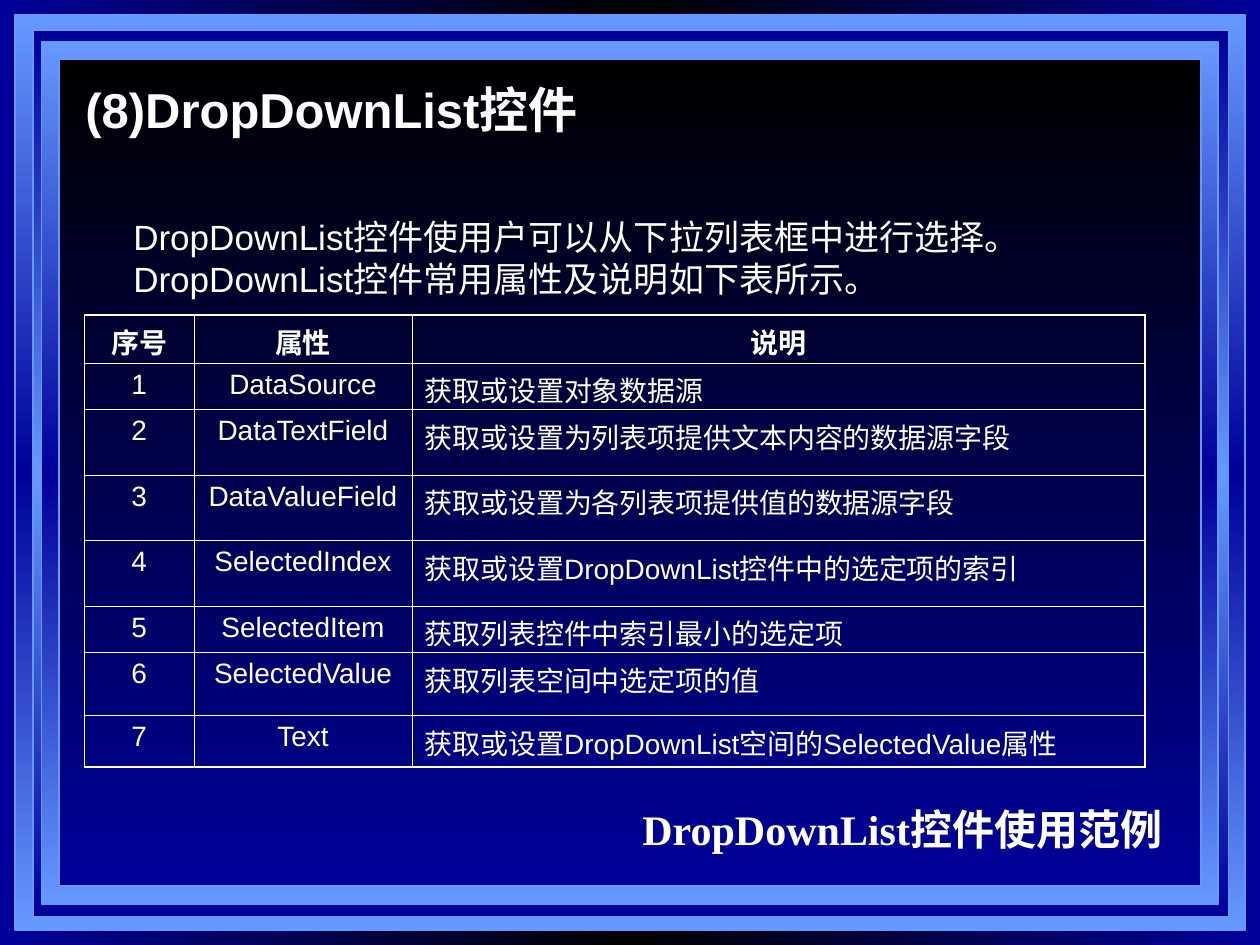
from typing import NamedTuple

from lxml.etree import SubElement
from pptx import Presentation
from pptx.dml.color import RGBColor
from pptx.enum.shapes import MSO_SHAPE
from pptx.enum.text import MSO_AUTO_SIZE, PP_ALIGN
from pptx.oxml.ns import qn
from pptx.util import Inches, Pt

COLORS = {"navy": "000099", "black": "000000", "sky": "6699FF", "white": "FFFFFF"}


class Frame(NamedTuple):
    left: float
    top: float
    width: float
    height: float
    gradient: tuple[str, ...]


class Property(NamedTuple):
    name: str
    description: str
    row_height: float


FRAMES = [
    Frame(0.12, 0.12, 9.76, 7.26, ("sky", "navy", "sky")),
    Frame(0.26, 0.24, 9.49, 7.04, ("navy", "sky", "navy")),
    Frame(0.33, 0.33, 9.34, 6.85, ("sky", "navy", "sky")),
    Frame(0.47, 0.47, 9.06, 6.56, ("black", "navy")),
]
PROPERTIES = [
    Property("DataSource", "获取或设置对象数据源", 0.37),
    Property("DataTextField", "获取或设置为列表项提供文本内容的数据源字段", 0.52),
    Property("DataValueField", "获取或设置为各列表项提供值的数据源字段", 0.52),
    Property("SelectedIndex", "获取或设置DropDownList控件中的选定项的索引", 0.52),
    Property("SelectedItem", "获取列表控件中索引最小的选定项", 0.37),
    Property("SelectedValue", "获取列表空间中选定项的值", 0.5),
    Property("Text", "获取或设置DropDownList空间的SelectedValue属性", 0.41),
]
HEADERS = ("序号", "属性", "说明")
HEADER_HEIGHT = 0.38
COLUMN_WIDTHS = (0.87, 1.73, 5.82)
OUTER_LINE, INNER_LINE = Pt(1.08), Pt(0.45)


def rgb(name: str) -> RGBColor:
    return RGBColor.from_string(COLORS[name])


def set_gradient(fill, owner, names: tuple[str, ...], angle: int) -> None:
    """Give a fill evenly spaced stops; owner is the XML element that holds it."""
    fill.gradient()
    fill.gradient_angle = angle
    stops = owner.xpath(".//a:gsLst")[0]
    for stop in list(stops):
        stops.remove(stop)
    for index, name in enumerate(names):
        position = 100000 * index // (len(names) - 1)
        stop = SubElement(stops, qn("a:gs"), pos=str(position))
        SubElement(stop, qn("a:srgbClr"), val=COLORS[name])


def draw_frame(page, frame: Frame) -> None:
    shape = page.shapes.add_shape(MSO_SHAPE.RECTANGLE, *map(Inches, frame[:4]))
    shape.shadow.inherit = False
    set_gradient(shape.fill, shape.element, frame.gradient, 270)
    shape.line.color.rgb = rgb("sky")
    shape.line.width = Pt(1)


def add_text_frame(page, left: float, top: float, width: float, height: float):
    box = page.shapes.add_textbox(*map(Inches, (left, top, width, height)))
    box.text_frame.word_wrap = True
    return box.text_frame


def style_font(font, size: int, bold: bool, name: str = "Arial") -> None:
    font.name = name
    font.size = Pt(size)
    font.bold = bold
    font.color.rgb = rgb("white")


def set_borders(cell, row: int, column: int, last_row: int, last_column: int) -> None:
    """Draw heavier lines on the sides that lie on the table's outer edge."""
    outer_sides = {
        "L": column == 0,
        "R": column == last_column,
        "T": row == 0,
        "B": row == last_row,
    }
    properties = cell._tc.get_or_add_tcPr()
    for side, outer in outer_sides.items():
        width = OUTER_LINE if outer else INNER_LINE
        line = SubElement(properties, qn(f"a:ln{side}"), w=str(int(width)))
        solid = SubElement(line, qn("a:solidFill"))
        SubElement(solid, qn("a:srgbClr"), val=COLORS["white"])


def draw_property_table(page) -> None:
    rows = [HEADERS] + [
        (str(number), item.name, item.description)
        for number, item in enumerate(PROPERTIES, start=1)
    ]
    heights = [HEADER_HEIGHT] + [item.row_height for item in PROPERTIES]
    table = page.shapes.add_table(
        len(rows), len(HEADERS), Inches(0.67), Inches(2.5),
        Inches(sum(COLUMN_WIDTHS)), Inches(sum(heights)),
    ).table
    table.first_row = False
    table.horz_banding = False
    for column, width in zip(table.columns, COLUMN_WIDTHS):
        column.width = Inches(width)
    for row, height in zip(table.rows, heights):
        row.height = Inches(height)

    last_row, last_column = len(rows) - 1, len(HEADERS) - 1
    for row, texts in enumerate(rows):
        for column, text in enumerate(texts):
            cell = table.cell(row, column)
            set_borders(cell, row, column, last_row, last_column)
            cell.fill.background()
            cell.text = text
            paragraph = cell.text_frame.paragraphs[0]
            centred = row == 0 or column < last_column
            paragraph.alignment = PP_ALIGN.CENTER if centred else PP_ALIGN.LEFT
            style_font(paragraph.font, 16, bold=row == 0)


def draw_introduction(page) -> None:
    text_frame = add_text_frame(page, 0.58, 0.58, 8.83, 6.42)
    title = text_frame.paragraphs[0]
    title.text = "(8)DropDownList控件"
    style_font(title.font, 28, bold=True)

    summary = text_frame.add_paragraph()
    summary.text = (
        "DropDownList控件使用户可以从下拉列表框中进行选择。"
        "DropDownList控件常用属性及说明如下表所示。"
    )
    summary.space_before = Pt(44)
    summary._p.get_or_add_pPr().set("marL", str(Inches(0.38)))
    style_font(summary.font, 20, bold=False)


def draw_example_caption(page) -> None:
    text_frame = add_text_frame(page, 5, 6.33, 4.58, 0.9)
    text_frame.auto_size = MSO_AUTO_SIZE.SHAPE_TO_FIT_TEXT
    caption = text_frame.paragraphs[0]
    caption.text = "DropDownList控件使用范例"
    style_font(caption.font, 24, bold=True, name="Times New Roman")


def main() -> None:
    deck = Presentation()
    deck.slide_width, deck.slide_height = Inches(10), Inches(7.5)
    page = deck.slides.add_slide(deck.slide_layouts[6])
    set_gradient(page.background.fill, page.element, ("navy", "black", "navy"), 180)
    for frame in FRAMES:
        draw_frame(page, frame)
    draw_introduction(page)
    draw_property_table(page)
    draw_example_caption(page)
    deck.save("out.pptx")


if __name__ == "__main__":
    main()
